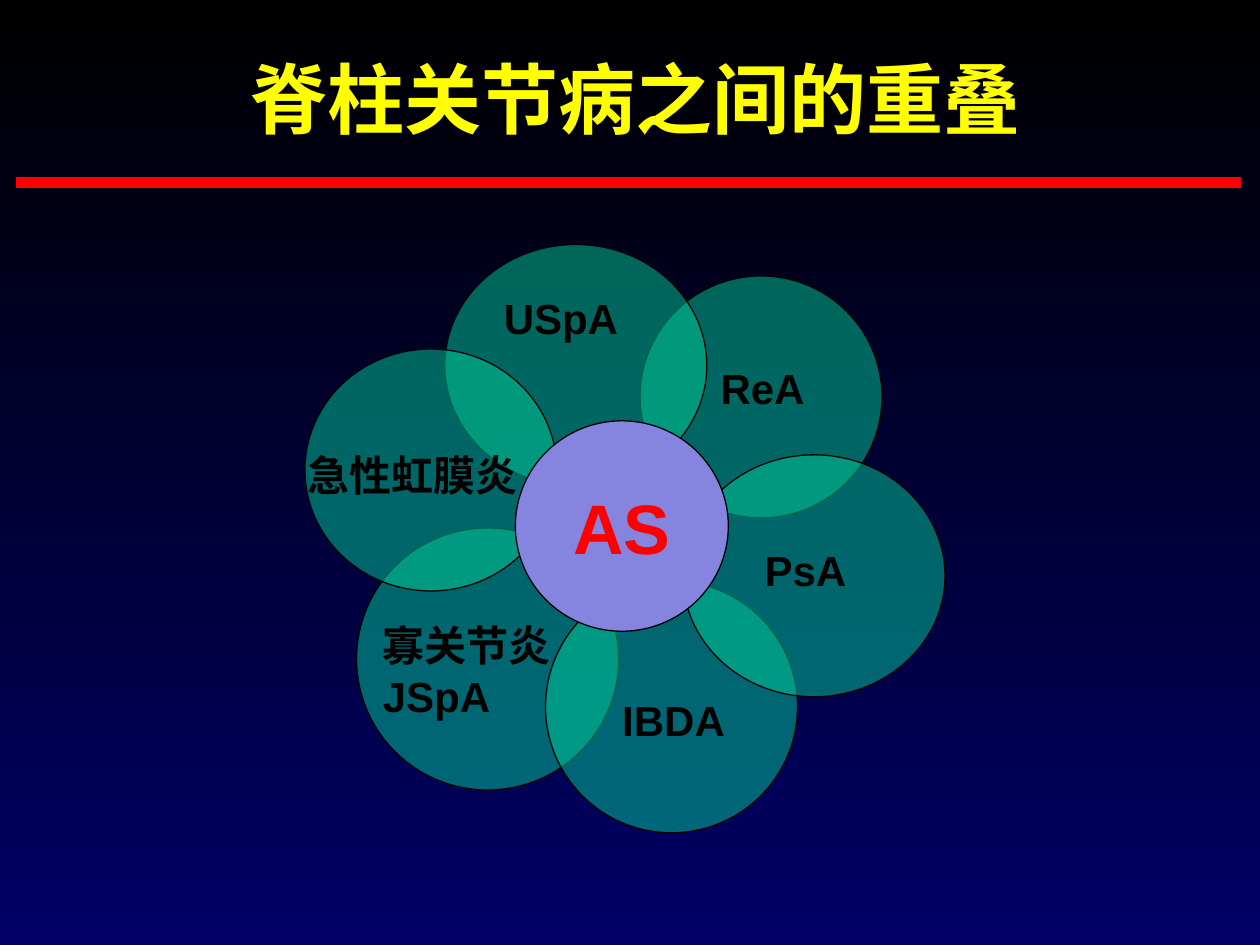
from typing import NamedTuple

from lxml.etree import SubElement
from pptx import Presentation
from pptx.dml.color import RGBColor
from pptx.enum.shapes import MSO_CONNECTOR as Conn, MSO_SHAPE as Shape
from pptx.enum.text import MSO_ANCHOR as Anchor, MSO_AUTO_SIZE as Fit, PP_ALIGN as Align
from pptx.oxml.ns import qn
from pptx.util import Inches, Pt


class Oval(NamedTuple):
    left: float
    top: float
    width: float
    height: float


class Label(NamedTuple):
    text: str
    left: float
    top: float
    width: float
    height: float = 0.51
    wrap: bool = False


PETALS = [
    Oval(5.08, 2.19, 1.92, 1.92),
    Oval(3.53, 1.94, 2.08, 1.92),
    Oval(2.83, 4.19, 2.08, 2.08),
    Oval(4.33, 4.61, 2, 2),
    Oval(5.42, 3.61, 2.08, 1.92),
    Oval(2.42, 2.77, 2, 1.92),
]
CORE = Oval(4.09, 3.34, 1.69, 1.67)
LABELS = [
    Label("ReA", 5.62, 2.83, 0.88),
    Label("IBDA", 4.84, 5.46, 1.03),
    Label("PsA", 5.97, 4.27, 0.86),
    Label("USpA", 3.9, 2.27, 1.12),
    Label("急性虹膜炎", 2.34, 3.52, 1.89, 0.5),
    Label("寡关节炎JSpA", 2.94, 4.87, 1.72, 0.91, True),
]
TITLE_FONT = {"name": "Times New Roman", "size": Pt(44), "bold": True}
CORE_FONT = {"name": "Arial", "size": Pt(40), "bold": True}
LABEL_FONT = {"name": "Arial", "size": Pt(24), "bold": True}


def paint(color, tone: str) -> None:
    color.rgb = RGBColor.from_string(tone)


def write(frame, text: str, font: dict, tone: str, align=Align.LEFT) -> None:
    frame.text = text
    para = frame.paragraphs[0]
    para.alignment = align
    run = para.runs[0]
    for key, value in font.items():
        setattr(run.font, key, value)
    paint(run.font.color, tone)


def add_oval(shapes, oval: Oval, tone: str, alpha: int = 100):
    """Draw a thin-lined ellipse; alpha is its opacity in percent."""
    shape = shapes.add_shape(Shape.OVAL, *map(Inches, oval))
    shape.shadow.inherit = False
    shape.fill.solid()
    paint(shape.fill.fore_color, tone)
    if alpha < 100:
        color = shape.fill._xPr.find(qn("a:solidFill"))[0]
        SubElement(color, qn("a:alpha"), val=str(alpha * 1000))
    paint(shape.line.color, "000000")
    shape.line.width = Pt(0.75)
    return shape


def add_label(shapes, label: Label) -> None:
    place = label.left, label.top, label.width, label.height
    frame = shapes.add_textbox(*map(Inches, place)).text_frame
    frame.word_wrap = label.wrap
    frame.auto_size = Fit.SHAPE_TO_FIT_TEXT
    write(frame, label.text, LABEL_FONT, "000000")


def add_rule(shapes) -> None:
    y = Inches(1.45)
    rule = shapes.add_connector(Conn.STRAIGHT, Inches(0.13), y, Inches(9.85), y)
    paint(rule.line.color, "FF0000")
    rule.line.width = Pt(6)
    SubElement(rule._element.spPr, qn("a:effectLst"))


def set_back(slide) -> None:
    fill = slide.background.fill
    fill.gradient()
    fill.gradient_angle = 270
    for stop, tone in zip(fill.gradient_stops, ("000000", "000066")):
        paint(stop.color, tone)


def set_title(title) -> None:
    spot = {"left": 0.75, "top": 0.36, "width": 8.59, "height": 1.1}
    for key, value in spot.items():
        setattr(title, key, Inches(value))
    frame = title.text_frame
    frame.vertical_anchor = Anchor.TOP
    frame.auto_size = Fit.NONE
    write(frame, "脊柱关节病之间的重叠", TITLE_FONT, "FFFF00", Align.CENTER)


def main() -> None:
    deck = Presentation()
    deck.slide_width, deck.slide_height = Inches(10), Inches(7.5)
    slide = deck.slides.add_slide(deck.slide_layouts[5])
    set_back(slide)
    set_title(slide.shapes.title)
    add_rule(slide.shapes)

    flower = slide.shapes.add_group_shape().shapes
    for petal in PETALS:
        add_oval(flower, petal, "00CC99", 50)
    frame = add_oval(flower, CORE, "8585E0").text_frame
    frame.word_wrap = False
    frame.vertical_anchor = Anchor.MIDDLE
    write(frame, "AS", CORE_FONT, "FF0000", Align.CENTER)
    for label in LABELS:
        add_label(flower, label)
    deck.save("out.pptx")


if __name__ == "__main__":
    main()
